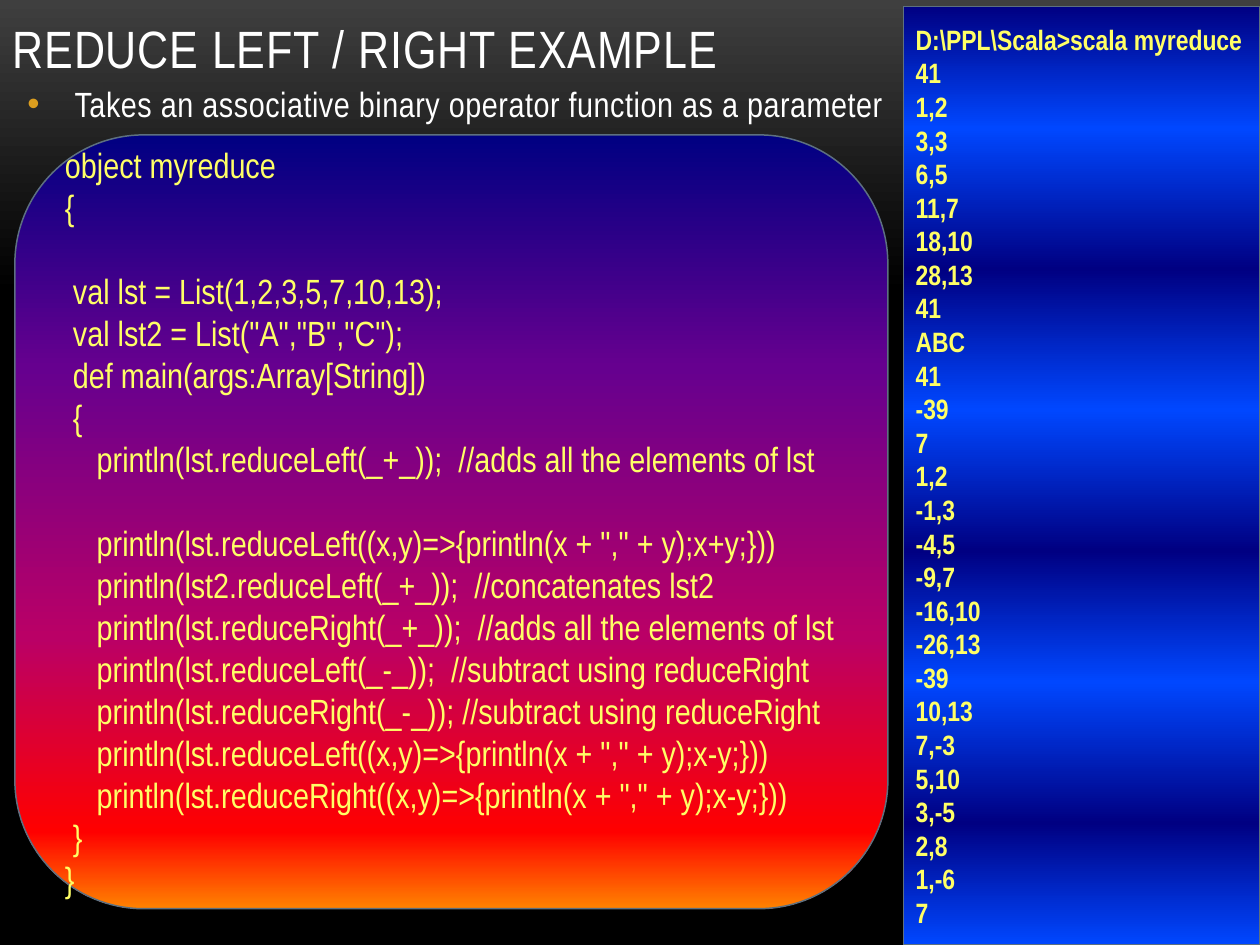
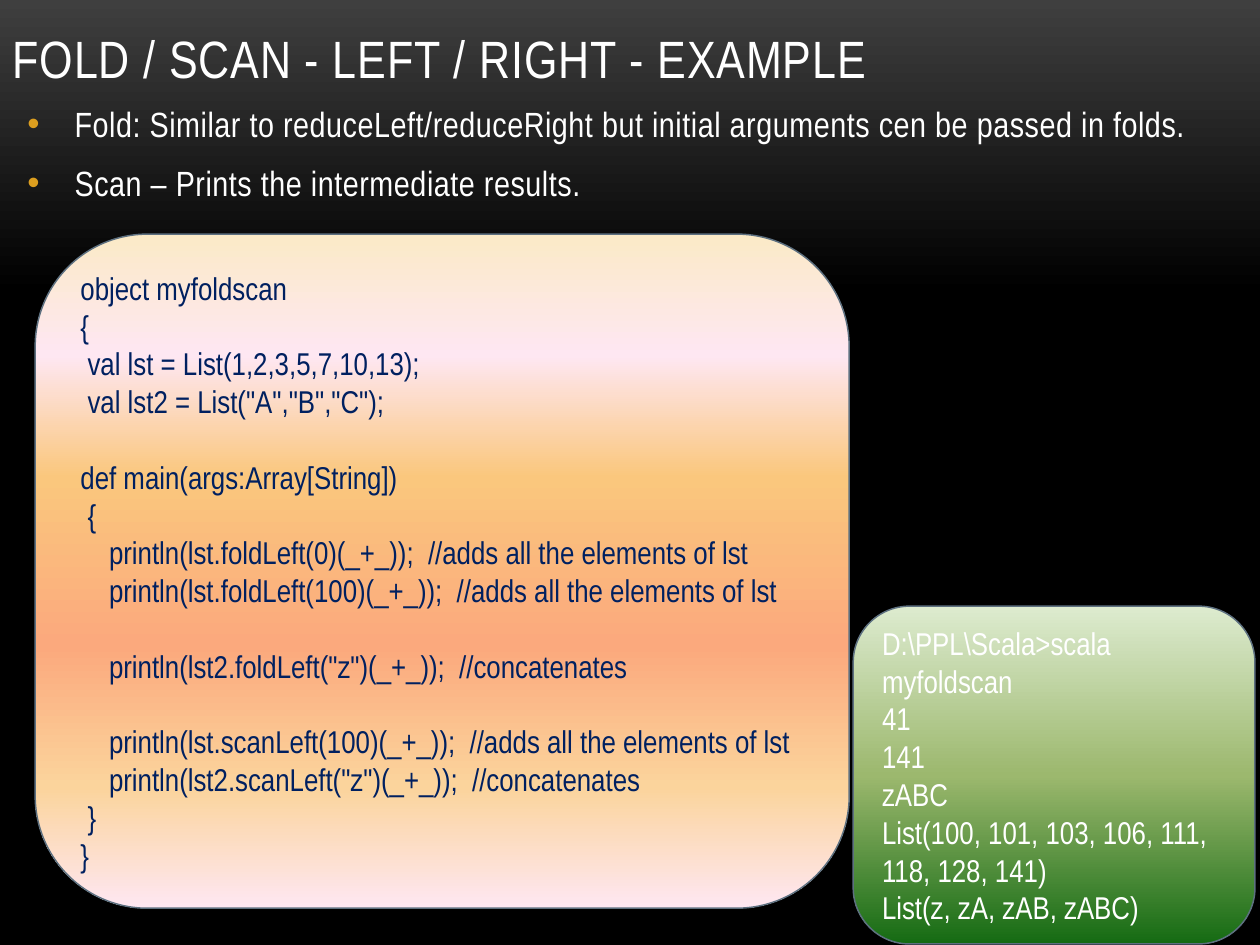
from lxml import etree
from pptx import Presentation
from pptx.dml.color import RGBColor
from pptx.enum.shapes import MSO_SHAPE
from pptx.enum.text import MSO_ANCHOR, PP_ALIGN
from pptx.oxml.ns import qn
from pptx.util import Cm, Pt

RECT = MSO_SHAPE.RECTANGLE
ROUND = MSO_SHAPE.ROUNDED_RECTANGLE
LEFT = PP_ALIGN.LEFT
MIDDLE = MSO_ANCHOR.MIDDLE
BOTTOM = MSO_ANCHOR.BOTTOM

FONT = "Arial Narrow"
WHITE = "FFFFFF"
YELLOW = "FFFF66"
NAVY = "002060"
GOLD = "DC9E1F"
EDGE = "5D7080"
FLOOR = 18.72

NIGHT = [(0, "3F3F3F"), (31, "000000"), (100, "000000")]
SUNSET = [(0, "000082"), (30, "66008F"), (65, "BA0066"),
          (90, "FF0000"), (100, "FF8200")]
WAVES = [(at, ("000082", "0047FF")[i % 2])
         for i, at in enumerate((0, 13, 28, 43, 58, 72, 87, 100))]
PEACH = [(0, "FBEAC7"), (18, "FEE7F2"), (36, "FAC77D"),
         (61, "FBA97D"), (82, "FBD49C"), (100, "FEE7F2")]
GREEN = [(0, "DDEBCF"), (50, "9CB86E"), (100, "156B13")]

REDUCE = r'''object myreduce
{

 val lst = List(1,2,3,5,7,10,13);
 val lst2 = List("A","B","C");
 def main(args:Array[String])
 {
    println(lst.reduceLeft(_+_));  //adds all the elements of lst

    println(lst.reduceLeft((x,y)=>{println(x + "," + y);x+y;}))
    println(lst2.reduceLeft(_+_));  //concatenates lst2
    println(lst.reduceRight(_+_));  //adds all the elements of lst
    println(lst.reduceLeft(_-_));  //subtract using reduceRight
    println(lst.reduceRight(_-_)); //subtract using reduceRight
    println(lst.reduceLeft((x,y)=>{println(x + "," + y);x-y;}))
    println(lst.reduceRight((x,y)=>{println(x + "," + y);x-y;}))
 }
}'''

TRACE = r'''D:\PPL\Scala>scala myreduce
41
1,2
3,3
6,5
11,7
18,10
28,13
41
ABC
41
-39
7
1,2
-1,3
-4,5
-9,7
-16,10
-26,13
-39
10,13
7,-3
5,10
3,-5
2,8
1,-6
7'''

FOLD = r'''object myfoldscan
{
 val lst = List(1,2,3,5,7,10,13);
 val lst2 = List("A","B","C");

def main(args:Array[String])
 {
    println(lst.foldLeft(0)(_+_));  //adds all the elements of lst
    println(lst.foldLeft(100)(_+_));  //adds all the elements of lst

    println(lst2.foldLeft("z")(_+_));  //concatenates

    println(lst.scanLeft(100)(_+_));  //adds all the elements of lst
    println(lst2.scanLeft("z")(_+_));  //concatenates
 }
}'''

RESULT = r'''D:\PPL\Scala>scala myfoldscan
41
141
zABC
List(100, 101, 103, 106, 111, 118, 128, 141)
List(z, zA, zAB, zABC)'''


def paint(color, tone):
    color.rgb = RGBColor.from_string(tone)


def blend(fill, owner, stops):
    fill.gradient()
    fill.gradient_angle = 270
    group = next(owner.iter(qn("a:gsLst")))
    for old in list(group):
        group.remove(old)
    for at, tone in stops:
        stop = etree.SubElement(group, qn("a:gs"), pos=str(at * 1000))
        etree.SubElement(stop, qn("a:srgbClr"), val=tone)


def write(para, text, size=20, tone=WHITE, bold=False, track=0):
    para.alignment = LEFT
    run = para.add_run()
    run.text = text
    font = run.font
    font.name, font.size, font.bold = FONT, Pt(size), bold
    paint(font.color, tone)
    if track:
        run._r.get_or_add_rPr().set("spc", str(track))


def lines(frame, count):
    while len(frame.paragraphs) < count:
        frame.add_paragraph()
    return frame.paragraphs


def place(shape, box):
    shape.left, shape.top, shape.width, shape.height = map(Cm, box)


def head(slide, box, title, points, lift=0):
    x, y, w, h = box
    name, body = slide.shapes.title, slide.placeholders[1]
    place(name, box)
    name.text_frame.vertical_anchor = BOTTOM
    write(name.text_frame.paragraphs[0], title, size=30, track=50)

    top = y + h - lift
    place(body, (x + 0.3, top, 24.8, FLOOR - top))
    for para, text in zip(lines(body.text_frame, len(points)), points):
        write(para, text, track=30)
        para.space_after = Pt(6)
        props = para._p.get_or_add_pPr()
        props.set("marL", str(Cm(0.95)))
        props.set("indent", str(-Cm(0.95)))
        mark = etree.SubElement(props, qn("a:buClr"))
        etree.SubElement(mark, qn("a:srgbClr"), val=GOLD)


def panel(slide, box, code, stops, kind=ROUND, size=18, **style):
    shape = slide.shapes.add_shape(kind, *map(Cm, box))
    shape.shadow.inherit = False
    blend(shape.fill, shape.element, stops)
    paint(shape.line.color, EDGE)
    shape.line.width = Pt(0.85)
    frame = shape.text_frame
    frame.word_wrap = True
    frame.vertical_anchor = MIDDLE

    rows = code.split("\n")
    full = [(i, row) for i, row in enumerate(rows) if row]
    for para, (i, row) in zip(lines(frame, len(full)), full):
        text = row.lstrip()
        write(para, text, size=size, **style)
        depth = len(row) - len(text)
        if depth:
            para._p.get_or_add_pPr().set("marL", str(Cm(depth * size * 0.008)))
        if i and not rows[i - 1]:
            para.space_before = Pt(size * 1.2)


def main():
    deck = Presentation()
    deck.slide_width, deck.slide_height = Cm(25.4), Cm(19.05)
    master = deck.slide_master
    blend(master.background.fill, master.element, NIGHT)
    layout = deck.slide_layouts[1]

    slide = deck.slides.add_slide(layout)
    head(slide, (0, 0, 22.02, 1.73), "REDUCE LEFT / RIGHT EXAMPLE",
         ["Takes an associative binary operator function as a parameter"],
         lift=0.2)
    panel(slide, (0.3, 2.72, 17.6, 15.6), REDUCE, SUNSET, size=20, tone=YELLOW)
    panel(slide, (18.21, 0.13, 7.19, 18.92), TRACE, WAVES, kind=RECT,
          size=16, tone=YELLOW, bold=True)

    slide = deck.slides.add_slide(layout)
    head(slide, (0, 0, 21.7, 1.93), "FOLD / SCAN - LEFT / RIGHT - EXAMPLE",
         ["Fold: Similar to reduceLeft/reduceRight but initial arguments "
          "cen be passed in folds.",
          "Scan – Prints the intermediate results."])
    panel(slide, (0.71, 4.72, 16.41, 13.59), FOLD, PEACH, tone=NAVY)
    panel(slide, (17.2, 12.22, 8.1, 6.81), RESULT, GREEN)

    deck.save("out.pptx")


if __name__ == "__main__":
    main()
